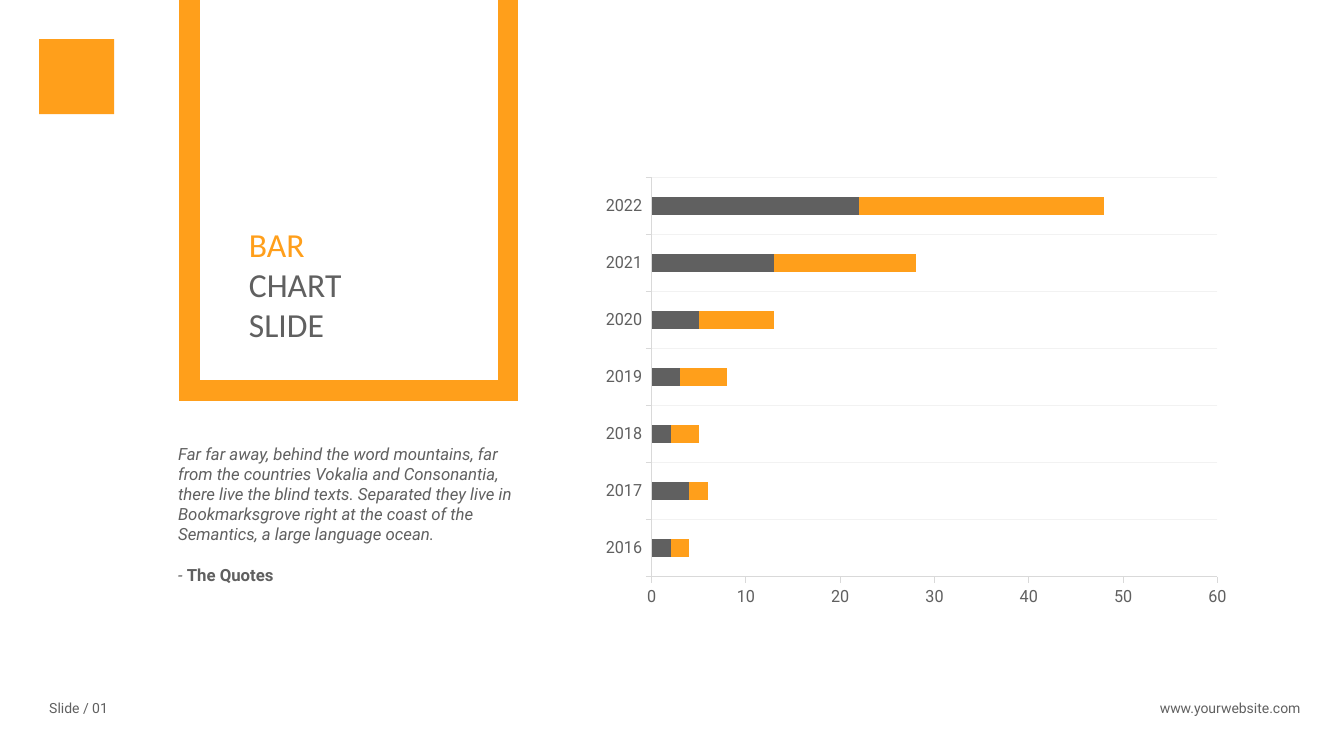
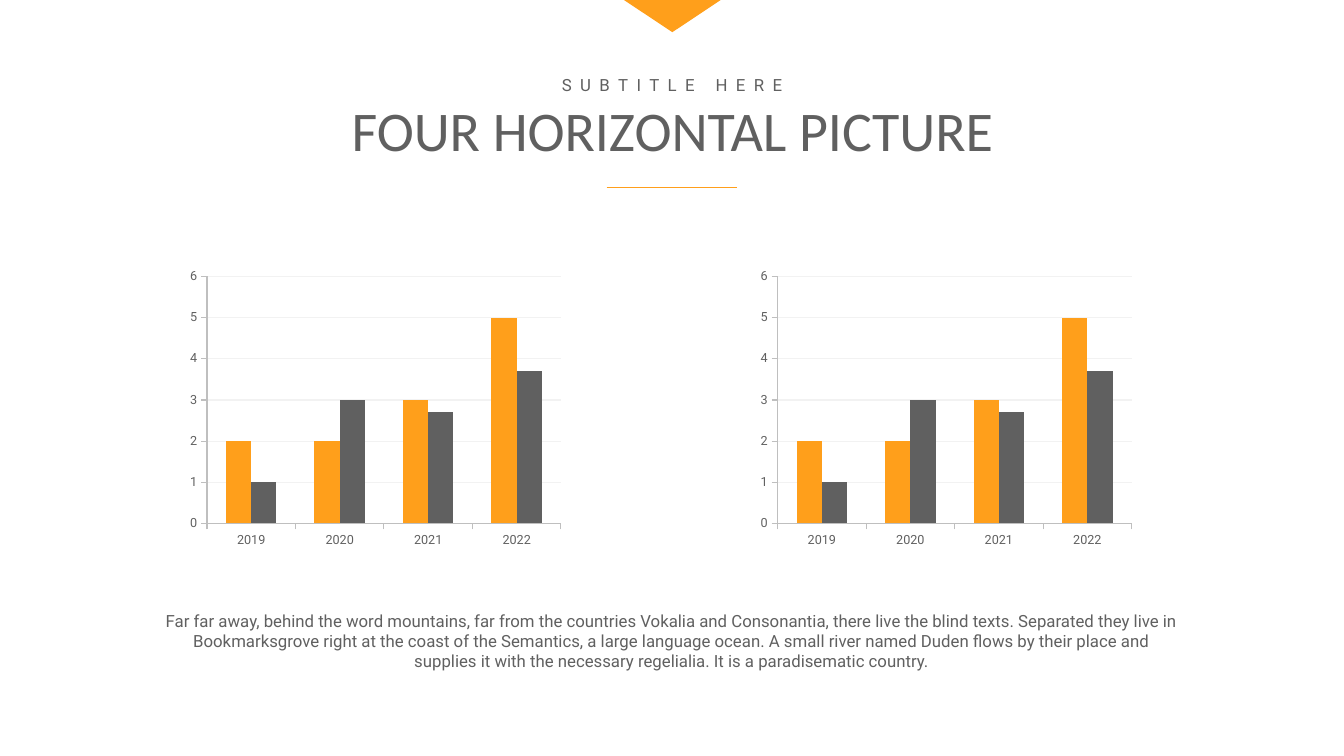
from dataclasses import dataclass

from lxml import etree
from pptx import Presentation
from pptx.chart.data import CategoryChartData
from pptx.dml.color import RGBColor
from pptx.enum.chart import XL_CHART_TYPE, XL_TICK_MARK
from pptx.enum.shapes import MSO_CONNECTOR, MSO_SHAPE
from pptx.enum.text import MSO_ANCHOR, MSO_AUTO_SIZE, PP_ALIGN
from pptx.oxml.ns import qn
from pptx.util import Pt

LEFT, MID, RIGHT = PP_ALIGN.LEFT, PP_ALIGN.CENTER, PP_ALIGN.RIGHT
RECT, TRI = MSO_SHAPE.RECTANGLE, MSO_SHAPE.ISOSCELES_TRIANGLE
STACK, COLS = XL_CHART_TYPE.BAR_STACKED, XL_CHART_TYPE.COLUMN_CLUSTERED
TICK_OUT = XL_TICK_MARK.OUTSIDE
TICK_NONE = XL_TICK_MARK.NONE


@dataclass(frozen=True)
class Theme:
    accent: str = "FF9F1B"
    ink: str = "606060"
    grid: str = "F2F2F2"
    pale: str = "D9D9D9"
    rule: str = "BFBFBF"
    head: str = "Calibri"
    body: str = "Roboto"
    big: int = 40
    mid: int = 24
    text: int = 12
    foot: int = 10
    small: int = 9


T = Theme()


def rgb(code):
    return RGBColor.from_string(code)


def box(at):
    return [Pt(n) for n in at]


# Text
def style(font, size, face=T.body, color=T.ink):
    font.size, font.name = Pt(size), face
    font.color.rgb = rgb(color)


def add_run(para, text, size, face=T.body, color=T.ink,
            bold=False, slant=False, track=0):
    run = para.add_run()
    run.text = text
    style(run.font, size, face, color)
    run.font.bold, run.font.italic = bold, slant
    if track:
        run._r.get_or_add_rPr().set("spc", str(track * 100))


def set_frame(frame, wrap):
    frame.word_wrap = wrap
    frame.auto_size = MSO_AUTO_SIZE.NONE
    frame.vertical_anchor = MSO_ANCHOR.TOP


def add_text(slide, at, text, size=T.text, align=LEFT, wrap=False, **look):
    frame = slide.shapes.add_textbox(*box(at)).text_frame
    set_frame(frame, wrap)
    para = frame.paragraphs[0]
    para.alignment = align
    add_run(para, text, size, **look)
    return frame


def set_title(slide, at, lines, size, align):
    title = slide.shapes.title
    title.left, title.top, title.width, title.height = box(at)
    frame = title.text_frame
    set_frame(frame, True)
    for i, (text, color) in enumerate(lines):
        para = frame.add_paragraph() if i else frame.paragraphs[0]
        para.alignment, para.line_spacing = align, 1.0
        para.space_before = Pt(0)
        add_run(para, text, size, T.head, color)


# Shapes
def add_solid(slide, kind, at, turn=0):
    shape = slide.shapes.add_shape(kind, *box(at))
    shape.shadow.inherit = False
    shape.fill.solid()
    shape.fill.fore_color.rgb = rgb(T.accent)
    shape.line.fill.background()
    shape.rotation = turn


def add_frame(slide, at, width):
    shape = slide.shapes.add_shape(RECT, *box(at))
    shape.shadow.inherit = False
    shape.fill.background()
    shape.line.color.rgb = rgb(T.accent)
    shape.line.width = Pt(width)
    # Square corners
    edge = shape.line._get_or_add_ln()
    etree.SubElement(edge, qn("a:miter")).set("lim", "800000")


def add_rule(slide, left, right, top):
    line = slide.shapes.add_connector(
        MSO_CONNECTOR.STRAIGHT, *box((left, top, right, top)))
    line.line.color.rgb = rgb(T.accent)
    line.line.width = Pt(0.5)
    etree.SubElement(line._element.spPr, qn("a:effectLst"))


# Charts
def set_line(form, color):
    form.line.color.rgb = rgb(color)
    form.line.width = Pt(0.75)


def set_axis(axis, size, color, grid):
    axis.major_tick_mark, axis.minor_tick_mark = TICK_OUT, TICK_NONE
    set_line(axis.format, color)
    style(axis.tick_labels.font, size)
    axis.has_major_gridlines = grid
    if grid:
        set_line(axis.major_gridlines.format, T.grid)


def place_plot(chart, spots):
    area = chart._chartSpace.chart.plotArea
    for old in area.findall(qn("c:layout")):
        area.remove(old)
    layout = etree.Element(qn("c:layout"))
    area.insert(0, layout)
    manual = etree.SubElement(layout, qn("c:manualLayout"))
    parts = [("layoutTarget", "inner"), ("xMode", "edge"), ("yMode", "edge")]
    parts += zip("xywh", spots)
    for tag, val in parts:
        etree.SubElement(manual, qn("c:" + tag)).set("val", str(val))


def add_bars(slide, kind, at, cats, rows, colors, size, edge, gap, lap,
             top, step, spots):
    data = CategoryChartData()
    data.categories = cats
    for i, vals in enumerate(rows, 1):
        data.add_series(f"Series {i}", vals)
    chart = slide.shapes.add_chart(kind, *box(at), data).chart
    chart.has_legend = chart.has_title = False
    style(chart.font, size)
    plot = chart.plots[0]
    plot.gap_width, plot.overlap = gap, lap
    plot.vary_by_categories = False
    for row, color in zip(plot.series, colors):
        row.format.fill.solid()
        row.format.fill.fore_color.rgb = rgb(color)
        row.invert_if_negative = False
    # Grid lines run along the bars or across the columns
    flat = kind == STACK
    set_axis(chart.category_axis, size, edge, flat)
    set_axis(chart.value_axis, size, edge, not flat)
    scale = chart.value_axis
    scale.minimum_scale, scale.maximum_scale = 0, top
    scale.major_unit = step
    place_plot(chart, spots)


# Slides
BLURB = ("Far far away, behind the word mountains, far from the countries "
         "Vokalia and Consonantia, there live the blind texts. Separated "
         "they live in Bookmarksgrove right at the coast of the Semantics, "
         "a large language ocean.")
MORE = (" A small river named Duden flows by their place and supplies it "
        "with the necessary regelialia. It is a paradisematic country.")


def years(first, last):
    return [str(n) for n in range(first, last + 1)]


def bar_slide(slide):
    set_title(slide, (170.6, 156.2, 120, 94.3),
              [("BAR", T.accent), ("CHART", T.ink), ("SLIDE", T.ink)],
              T.mid, LEFT)
    add_bars(slide, STACK, (432.7, 111.6, 444.2, 334.1), years(2016, 2022),
             [(2, 4, 2, 3, 5, 13, 22), (2, 2, 3, 5, 8, 15, 26)],
             (T.ink, T.accent), T.text, T.pale, 219, 100, 60, 10,
             (0.037, 0.046, 0.946, 0.853))
    add_solid(slide, RECT, (28, 28, 53.5, 53.5))
    add_frame(slide, (135.4, -131.8, 227.5, 411.1), 15)
    # Quote and its source
    quote = add_text(slide, (120.2, 313.2, 257, 108.7), BLURB,
                     wrap=True, slant=True)
    para = quote.add_paragraph()
    para.space_before = Pt(14.4)
    add_run(para, "- ", T.text, slant=True)
    add_run(para, "The Quotes", T.text, bold=True)
    # Footer
    add_text(slide, (28.1, 496, 56.9, 19.5), "Slide / 01", T.foot)
    add_text(slide, (818.6, 496, 117.4, 19.5), "www.yourwebsite.com",
             T.foot, RIGHT)


def pair_slide(slide):
    add_solid(slide, TRI, (445.7, 0, 69.1, 23), 180)
    add_text(slide, (390.2, 49.7, 180, 21.6), "SUBTITLE HERE",
             align=MID, track=6)
    set_title(slide, (189.4, 64.8, 581.8, 55.4),
              [("FOUR HORIZONTAL PICTURE", T.ink)], T.big, MID)
    add_rule(slide, 433.4, 526.3, 133.9)
    for left in (134.6, 542.2):
        add_bars(slide, COLS, (left, 184.3, 270.7, 212.4), years(2019, 2022),
                 [(2, 2, 3, 5), (1, 3, 2.7, 3.7)], (T.accent, T.ink),
                 T.small, T.rule, 150, 0, 6, 1,
                 (0.049, 0.062, 0.934, 0.831))
    add_text(slide, (109.4, 432.7, 740.9, 51.1), BLURB + MORE,
             align=MID, wrap=True)


def main():
    deck = Presentation()
    deck.slide_width, deck.slide_height = Pt(960), Pt(540)
    for build in (bar_slide, pair_slide):
        build(deck.slides.add_slide(deck.slide_layouts[5]))
    deck.save("out.pptx")


main()
